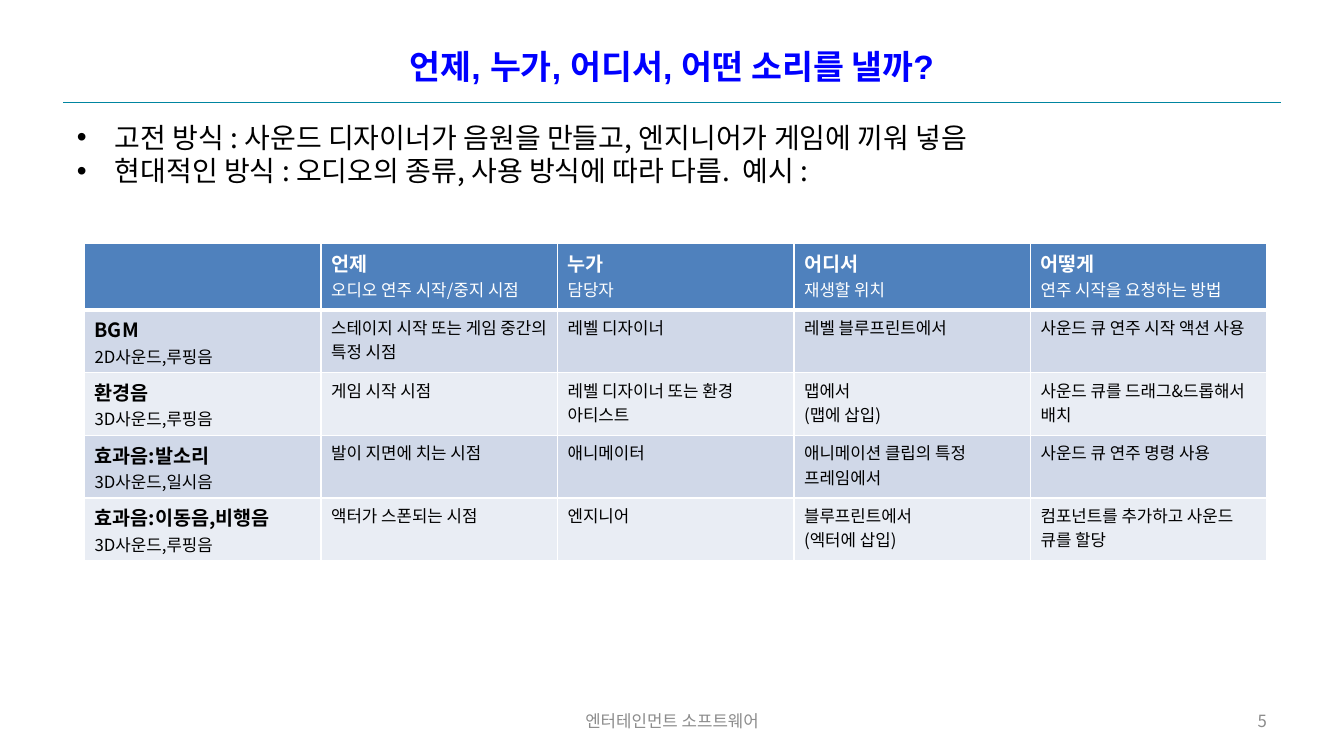
from lxml.etree import SubElement
from pptx import Presentation
from pptx.dml.color import RGBColor
from pptx.enum.shapes import MSO_CONNECTOR
from pptx.enum.text import MSO_ANCHOR, PP_ALIGN
from pptx.oxml import parse_xml
from pptx.oxml.ns import nsdecls, qn
from pptx.util import Cm, Pt

TITLE = "언제, 누가, 어디서, 어떤 소리를 낼까?"
BULLETS = [
    "고전 방식 : 사운드 디자이너가 음원을 만들고, 엔지니어가 게임에 끼워 넣음",
    "현대적인 방식 : 오디오의 종류, 사용 방식에 따라 다름.  예시 :",
]
FOOTER = "엔터테인먼트 소프트웨어"
PAGE_NUMBER = "5"
TABLE_ROWS = [
    [[], ["언제", "오디오 연주 시작/중지 시점"], ["누가", "담당자"],
     ["어디서", "재생할 위치"], ["어떻게", "연주 시작을 요청하는 방법"]],
    [["BGM", "2D사운드,루핑음"], ["스테이지 시작 또는 게임 중간의 특정 시점"],
     ["레벨 디자이너"], ["레벨 블루프린트에서"], ["사운드 큐 연주 시작 액션 사용"]],
    [["환경음", "3D사운드,루핑음"], ["게임 시작 시점"],
     ["레벨 디자이너 또는 환경 아티스트"], ["맵에서", "(맵에 삽입)"],
     ["사운드 큐를 드래그&드롭해서 배치"]],
    [["효과음:발소리", "3D사운드,일시음"], ["발이 지면에 치는 시점"],
     ["애니메이터"], ["애니메이션 클립의 특정 프레임에서"], ["사운드 큐 연주 명령 사용"]],
    [["효과음:이동음,비행음", "3D사운드,루핑음"], ["액터가 스폰되는 시점"],
     ["엔지니어"], ["블루프린트에서", "(엑터에 삽입)"],
     ["컴포넌트를 추가하고 사운드 큐를 할당"]],
]
COLORS = {
    "title": "0000FF", "rule": "0085A0", "text": "000000", "footer": "8C8C8C",
    "header": "4F81BD", "odd": "D0D8E8", "even": "E9EDF4", "white": "FFFFFF",
}
KOREAN_FONT = "Noto Sans CJK KR"
COLUMN_WIDTH = 5.96
HEADER_HEIGHT, ROW_HEIGHT = 1.68, 1.58


def rgb(name):
    return RGBColor.from_string(COLORS[name])


def write(frame, lines, sizes, color, bold_lines=(), font=KOREAN_FONT, align=PP_ALIGN.LEFT):
    for index, line in enumerate(lines):
        paragraph = frame.paragraphs[0] if index == 0 else frame.add_paragraph()
        paragraph.text = line
        paragraph.alignment = align
        paragraph.font.name = font
        paragraph.font.size = Pt(sizes[index])
        paragraph.font.bold = index in bold_lines
        paragraph.font.color.rgb = rgb(color)
        properties = paragraph.font._element
        SubElement(properties, qn("a:ea")).set("typeface", KOREAN_FONT)


def add_text(slide, box, lines, size, color, anchor=MSO_ANCHOR.MIDDLE, **style):
    frame = slide.shapes.add_textbox(*map(Cm, box)).text_frame
    frame.word_wrap = True
    frame.vertical_anchor = anchor
    write(frame, lines, [size] * len(lines), color, **style)
    return frame


def add_bullets(frame):
    for paragraph in frame.paragraphs:
        properties = paragraph._p.get_or_add_pPr()
        properties.set("marL", str(Cm(0.95)))
        properties.set("indent", str(-Cm(0.95)))
        SubElement(properties, qn("a:buFont")).set("typeface", "Arial")
        SubElement(properties, qn("a:buChar")).set("char", "•")
        default_font = properties.find(qn("a:defRPr"))
        if default_font is not None:
            properties.append(default_font)


def set_borders(cell, bottom_width):
    properties = cell._tc.get_or_add_tcPr()
    widths = {"lnL": 1, "lnR": 1, "lnT": 1, "lnB": bottom_width}
    for position, (side, width) in enumerate(widths.items()):
        properties.insert(position, parse_xml(
            f'<a:{side} {nsdecls("a")} w="{Pt(width)}"><a:solidFill>'
            f'<a:srgbClr val="{COLORS["white"]}"/></a:solidFill></a:{side}>'))


def add_sound_table(slide):
    row_count, column_count = len(TABLE_ROWS), len(TABLE_ROWS[0])
    height = HEADER_HEIGHT + ROW_HEIGHT * (row_count - 1)
    table = slide.shapes.add_table(
        row_count, column_count, Cm(2.13), Cm(6.13),
        Cm(COLUMN_WIDTH * column_count), Cm(height)).table
    table.first_row = table.horz_banding = False
    for column in table.columns:
        column.width = Cm(COLUMN_WIDTH)
    for row_index, row in enumerate(TABLE_ROWS):
        is_header = row_index == 0
        table.rows[row_index].height = Cm(HEADER_HEIGHT if is_header else ROW_HEIGHT)
        fill = "header" if is_header else ("even", "odd")[row_index % 2]
        for column_index, lines in enumerate(row):
            cell = table.cell(row_index, column_index)
            cell.fill.solid()
            cell.fill.fore_color.rgb = rgb(fill)
            above = is_header or row_index == 1
            set_borders(cell, 3 if is_header else 1)
            if row_index == 1 and above:
                cell._tc.tcPr.find(qn("a:lnT")).set("w", str(Pt(3)))
            has_heading = is_header or column_index == 0
            write(cell.text_frame, lines, [14 if has_heading else 12, 12],
                  "white" if is_header else "text", [0] if has_heading else [])


def main():
    """Build the slide on who plays which sound, when and where."""
    presentation = Presentation()
    presentation.slide_width, presentation.slide_height = Cm(33.87), Cm(19.05)
    slide = presentation.slides.add_slide(presentation.slide_layouts[6])

    rule = slide.shapes.add_connector(
        MSO_CONNECTOR.STRAIGHT, Cm(1.59), Cm(2.59), Cm(32.28), Cm(2.59))
    rule.line.color.rgb = rgb("rule")
    rule.line.width = Pt(1)
    SubElement(rule._element.spPr, qn("a:effectLst"))

    add_text(slide, (1.69, 0.76, 30.48, 1.83), [TITLE], 24, "title",
             bold_lines=[0], font="Arial", align=PP_ALIGN.CENTER)
    add_bullets(add_text(slide, (1.69, 2.9, 30.48, 14.55), BULLETS, 20, "text",
                         anchor=MSO_ANCHOR.TOP))
    add_text(slide, (11.58, 17.65, 10.72, 1.02), [FOOTER], 12, "footer",
             align=PP_ALIGN.CENTER)
    add_text(slide, (24.28, 17.65, 7.9, 1.02), [PAGE_NUMBER], 12, "footer",
             align=PP_ALIGN.RIGHT)
    add_sound_table(slide)
    presentation.save("out.pptx")


if __name__ == "__main__":
    main()
